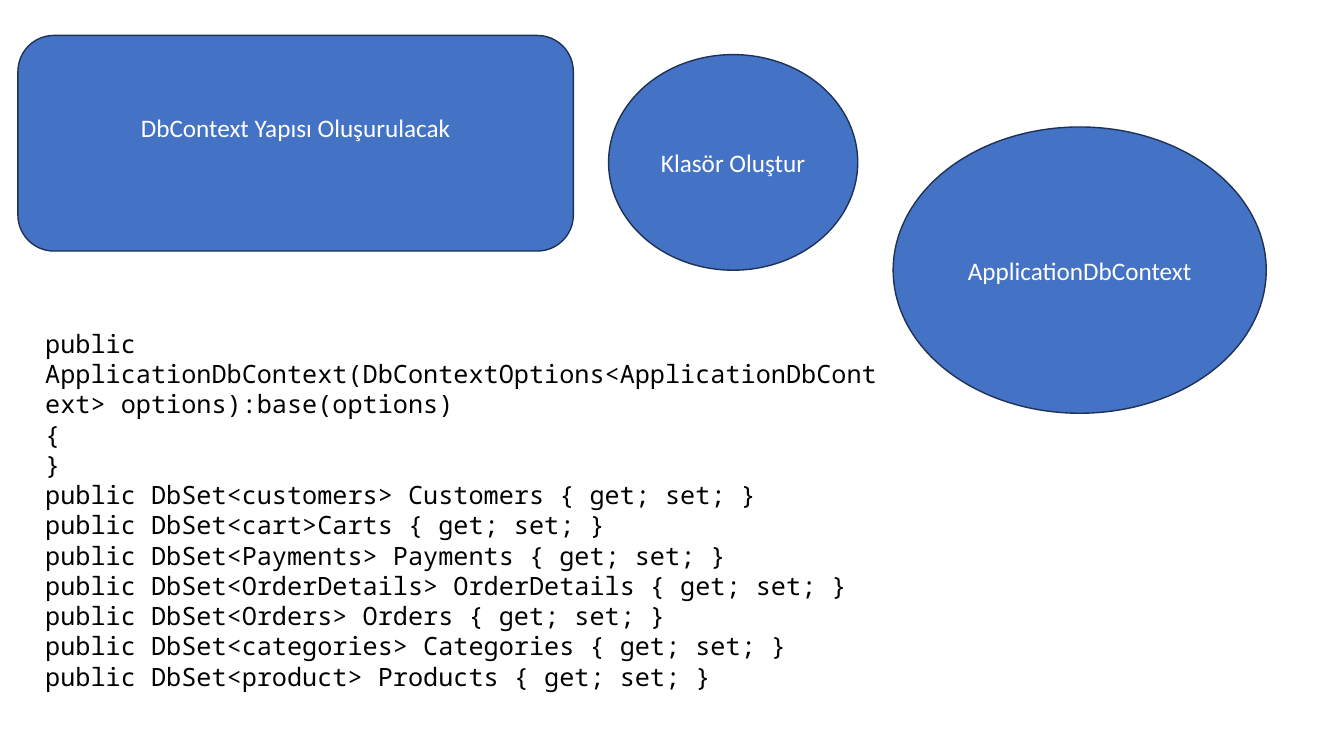
from dataclasses import dataclass

from pptx import Presentation
from pptx.dml.color import RGBColor
from pptx.enum.shapes import MSO_SHAPE as SHAPE
from pptx.enum.text import MSO_ANCHOR as ANCHOR, PP_ALIGN as ALIGN
from pptx.util import Pt


@dataclass(frozen=True)
class Theme:
    fill: RGBColor = RGBColor(0x44, 0x72, 0xC4)
    line: RGBColor = RGBColor(0x1E, 0x32, 0x56)
    light: RGBColor = RGBColor(0xFF, 0xFF, 0xFF)
    dark: RGBColor = RGBColor(0x00, 0x00, 0x00)
    label_font: str = "Calibri"
    code_font: str = "Noto Sans Mono"
    size: float = 18
    code_pitch: float = 21.6


THEME = Theme()

CONSTRUCTOR = [
    "public ApplicationDbContext(DbContextOptions<ApplicationDbContext> options):base(options)",
    "{",
    "}",
]
# Entity type with its separator, then property name
DB_SETS = [
    ("<customers> ", "Customers"),
    ("<cart>", "Carts"),
    ("<Payments> ", "Payments"),
    ("<OrderDetails> ", "OrderDetails"),
    ("<Orders> ", "Orders"),
    ("<categories> ", "Categories"),
    ("<product> ", "Products"),
]


def add_run(p, text, font, color):
    r = p.add_run()
    r.text = text
    r.font.name = font
    r.font.size = Pt(THEME.size)
    r.font.color.rgb = color


def add_step(slide, kind, box, text, bottom_inset=3.6):
    """Filled shape with a centred label."""
    sp = slide.shapes.add_shape(kind, *map(Pt, box))
    sp.shadow.inherit = False
    sp.fill.solid()
    sp.fill.fore_color.rgb = THEME.fill
    sp.line.color.rgb = THEME.line
    sp.line.width = Pt(1)
    tf = sp.text_frame
    tf.word_wrap = True
    tf.vertical_anchor = ANCHOR.MIDDLE
    tf.margin_bottom = Pt(bottom_inset)
    p = tf.paragraphs[0]
    p.alignment = ALIGN.CENTER
    add_run(p, text, THEME.label_font, THEME.light)


def add_code(slide, box, lines):
    """Code listing, one paragraph per line."""
    tf = slide.shapes.add_textbox(*map(Pt, box)).text_frame
    tf.word_wrap = True
    for i, line in enumerate(lines):
        p = tf.add_paragraph() if i else tf.paragraphs[0]
        p.line_spacing = Pt(THEME.code_pitch)
        add_run(p, line, THEME.code_font, THEME.dark)


def main():
    prs = Presentation()
    prs.slide_width, prs.slide_height = Pt(960), Pt(540)
    slide = prs.slides.add_slide(prs.slide_layouts[6])

    # Steps; the first label sits half a line above the middle
    add_step(slide, SHAPE.ROUNDED_RECTANGLE, (12.8, 25.3, 396.7, 154),
             "DbContext Yapısı Oluşurulacak", bottom_inset=25.6)
    add_step(slide, SHAPE.OVAL, (434.7, 39, 178, 154), "Klasör Oluştur")
    add_step(slide, SHAPE.OVAL, (638, 90.7, 266.5, 204.5), "ApplicationDbContext")

    # Context class code
    sets = [f"public DbSet{kind}{name} {{ get; set; }}" for kind, name in DB_SETS]
    add_code(slide, (25.2, 231, 612.7, 269.3), CONSTRUCTOR + sets)

    prs.save("out.pptx")


if __name__ == "__main__":
    main()
